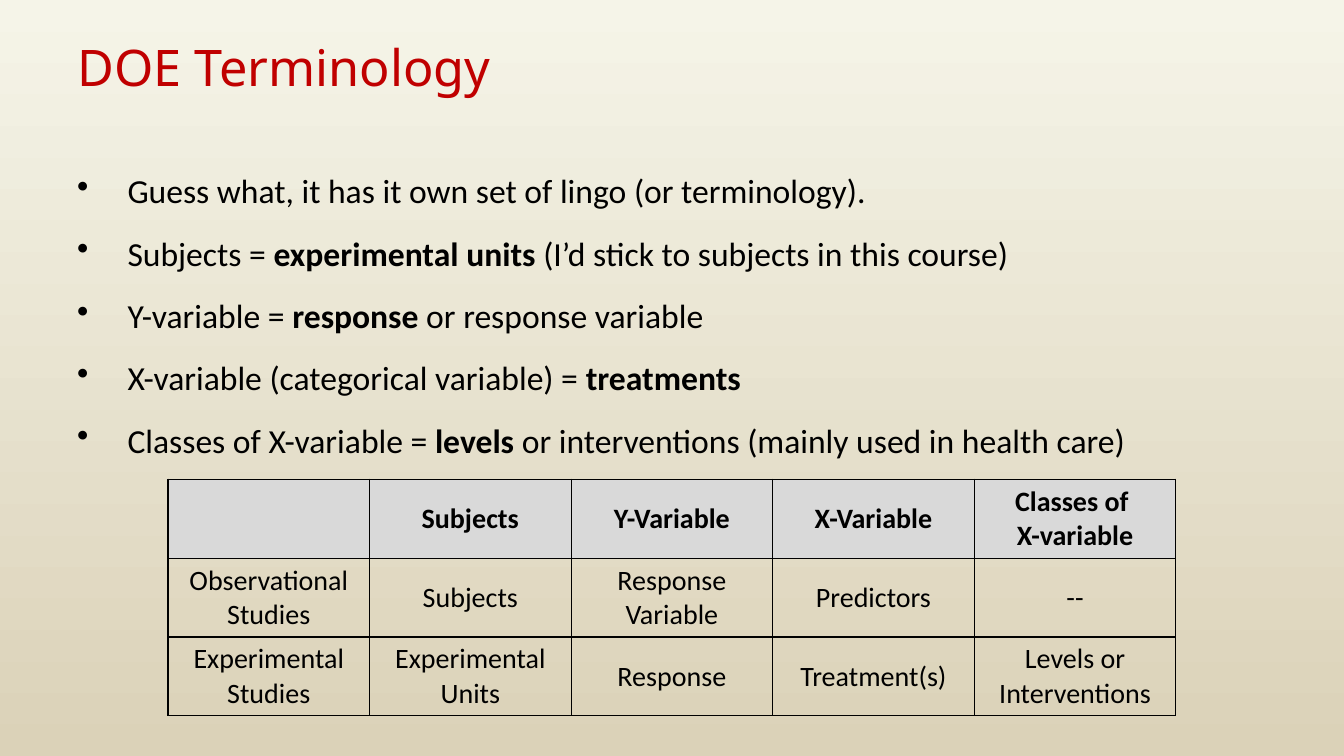
from lxml import etree
from pptx import Presentation
from pptx.dml.color import RGBColor
from pptx.enum.text import MSO_ANCHOR, PP_ALIGN
from pptx.oxml.ns import qn
from pptx.util import Inches, Pt

TOP, MIDDLE = MSO_ANCHOR.TOP, MSO_ANCHOR.MIDDLE
LEFT, CENTER = PP_ALIGN.LEFT, PP_ALIGN.CENTER
TITLE_ONLY = 5
WIDTH, HEIGHT = 13.33, 7.5
COLORS = {
    "title": "C00000",
    "text": "000000",
    "header": "D9D9D9",
    "sky": "F5F4E8",
    "sand": "DBD2B8",
}
BULLETS = [
    ["Guess what, it has it own set of lingo (or terminology)."],
    ["Subjects = ", "experimental units", " (I’d stick to subjects in this course)"],
    ["Y-variable = ", "response", " or response variable"],
    ["X-variable (categorical variable) = ", "treatments"],
    ["Classes of X-variable = ", "levels", " or interventions (mainly used in health care)"],
]
TERMS = [
    ["", "Subjects", "Y-Variable", "X-Variable", "Classes of \nX-variable"],
    ["Observational Studies", "Subjects", "Response Variable", "Predictors", "--"],
    ["Experimental Studies", "Experimental Units", "Response", "Treatment(s)",
     "Levels or Interventions"],
]


class TerminologySlide:
    heading_font = "Noto Sans"
    body_font = "Calibri"

    def __init__(self, presentation):
        self.slide = presentation.slides.add_slide(presentation.slide_layouts[TITLE_ONLY])

    def color(self, name):
        return RGBColor.from_string(COLORS[name])

    def place(self, left, top, width, height):
        return (Inches(left * WIDTH), Inches(top * HEIGHT),
                Inches(width * WIDTH), Inches(height * HEIGHT))

    def format(self, paragraph, size, font, color="text", bold=False):
        paragraph.font.size = Pt(size)
        paragraph.font.name = font
        paragraph.font.bold = bold
        paragraph.font.color.rgb = self.color(color)

    def background(self, start, end):
        fill = self.slide.background.fill
        fill.gradient()
        fill.gradient_angle = 270
        for stop, name in zip(fill.gradient_stops, (start, end)):
            stop.color.rgb = self.color(name)

    def title(self, text, *area):
        shape = self.slide.shapes.title
        shape.left, shape.top, shape.width, shape.height = self.place(*area)
        frame = shape.text_frame
        frame.text = text
        frame.vertical_anchor = TOP
        frame.margin_top = 0
        paragraph = frame.paragraphs[0]
        paragraph.alignment = LEFT
        paragraph.line_spacing = 0.9
        self.format(paragraph, 36, self.heading_font, "title")

    def bullets(self, items, *area):
        frame = self.slide.shapes.add_textbox(*self.place(*area)).text_frame
        frame.word_wrap = True
        for index, parts in enumerate(items):
            paragraph = frame.add_paragraph() if index else frame.paragraphs[0]
            self.bullet(paragraph)
            paragraph.line_spacing = 1.2
            if index:
                paragraph.space_before = Pt(10)
            self.format(paragraph, 24, self.body_font)
            for position, part in enumerate(parts):
                run = paragraph.add_run()
                run.text = part
                if position == 1:
                    run.font.bold = True

    def bullet(self, paragraph):
        properties = paragraph._p.get_or_add_pPr()
        properties.set("marL", str(Inches(0.5)))
        properties.set("indent", str(-Inches(0.5)))
        color = etree.SubElement(properties, qn("a:buClr"))
        etree.SubElement(color, qn("a:srgbClr"), val=COLORS["text"])
        etree.SubElement(properties, qn("a:buChar"), char="•")

    def table(self, rows, *area):
        frame = self.slide.shapes.add_table(len(rows), len(rows[0]), *self.place(*area))
        table = frame.table
        table.first_row = table.horz_banding = False
        for row_index, row in enumerate(rows):
            for column_index, text in enumerate(row):
                self.cell(table.cell(row_index, column_index), text, row_index == 0)

    def cell(self, cell, text, header):
        cell.text = text
        cell.vertical_anchor = MIDDLE
        for paragraph in cell.text_frame.paragraphs:
            paragraph.alignment = CENTER
            self.format(paragraph, 20, self.body_font, bold=header)
        self.borders(cell)
        if header:
            cell.fill.solid()
            cell.fill.fore_color.rgb = self.color("header")
        else:
            cell.fill.background()

    def borders(self, cell):
        properties = cell._tc.get_or_add_tcPr()
        for side in ("a:lnL", "a:lnR", "a:lnT", "a:lnB"):
            line = etree.SubElement(properties, qn(side), w=str(Pt(1)))
            fill = etree.SubElement(line, qn("a:solidFill"))
            etree.SubElement(fill, qn("a:srgbClr"), val=COLORS["text"])


def main():
    presentation = Presentation()
    presentation.slide_width = Inches(WIDTH)
    presentation.slide_height = Inches(HEIGHT)
    page = TerminologySlide(presentation)
    page.background("sky", "sand")
    page.title("DOE Terminology", 0.05, 0.057, 0.9, 0.133)
    page.bullets(BULLETS, 0.05, 0.208, 0.9, 0.733)
    page.table(TERMS, 0.125, 0.634, 0.75, 0.313)
    presentation.save("out.pptx")


if __name__ == "__main__":
    main()
